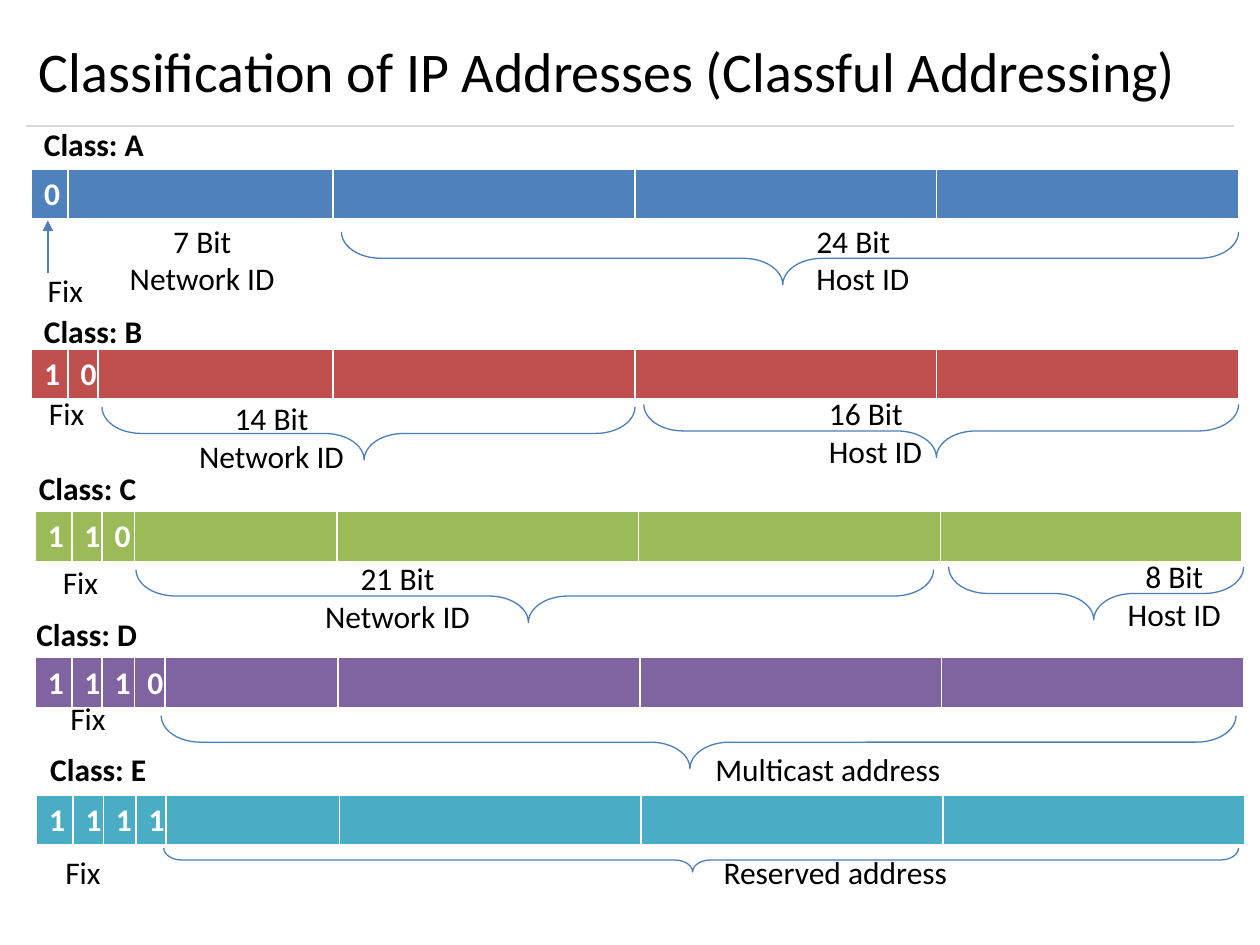
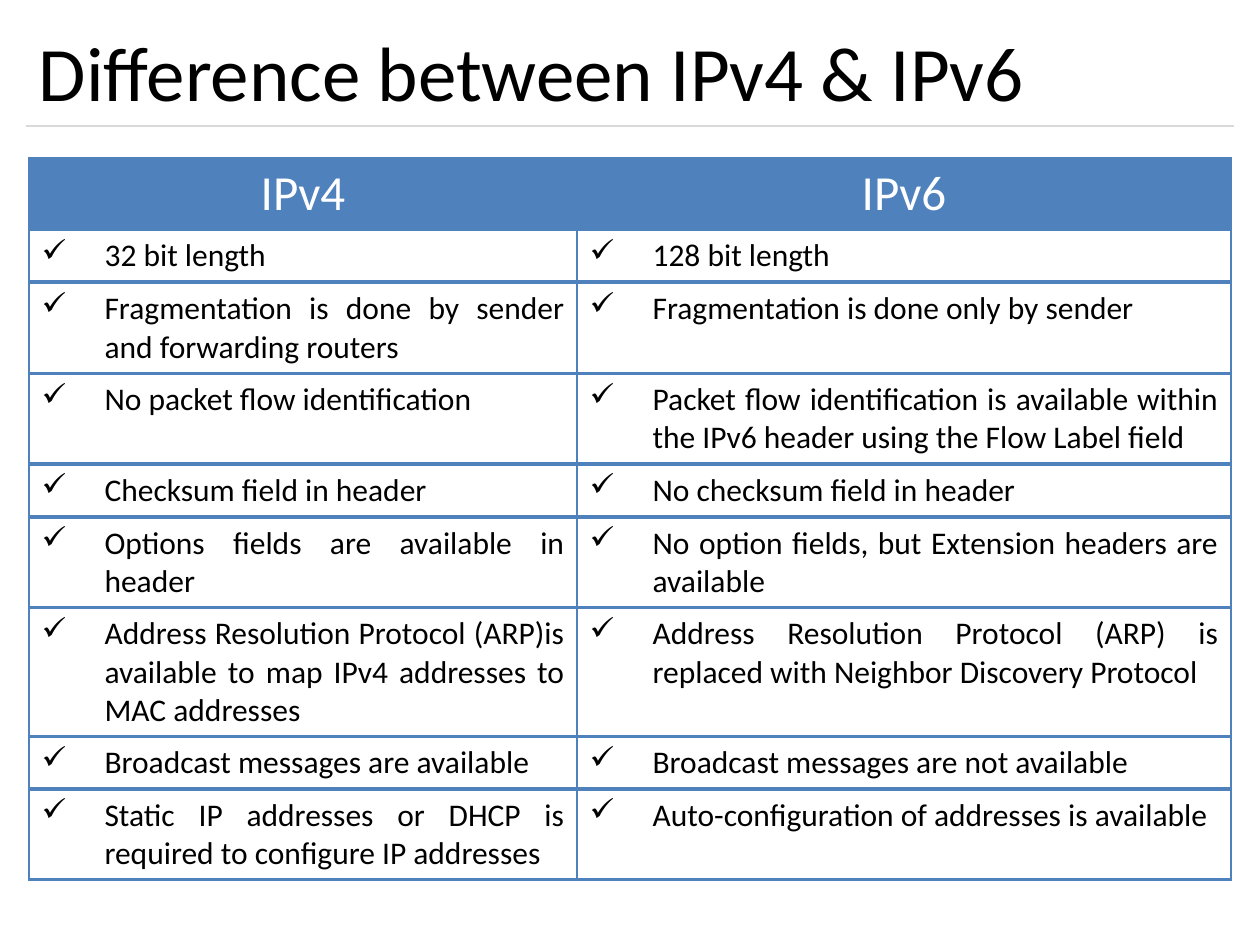
from collections import namedtuple

from lxml.etree import SubElement
from pptx import Presentation
from pptx.dml.color import RGBColor
from pptx.enum.shapes import MSO_CONNECTOR, MSO_SHAPE
from pptx.enum.text import MSO_ANCHOR, MSO_AUTO_SIZE, PP_ALIGN
from pptx.oxml.ns import qn
from pptx.util import Inches, Pt

FONT = "Calibri"
BLACK = RGBColor(0x00, 0x00, 0x00)
WHITE = RGBColor(0xFF, 0xFF, 0xFF)
RULE_GREY = RGBColor(0xD9, 0xD9, 0xD9)
LINE_BLUE = RGBColor(0x4B, 0x7E, 0xBC)
BLUE = RGBColor(0x4F, 0x81, 0xBD)
RED = RGBColor(0xC0, 0x50, 0x4D)
GREEN = RGBColor(0x9B, 0xBB, 0x59)
PURPLE = RGBColor(0x80, 0x64, 0xA2)
TEAL = RGBColor(0x4B, 0xAC, 0xC6)
LEFT, CENTER, JUSTIFY = PP_ALIGN.LEFT, PP_ALIGN.CENTER, PP_ALIGN.JUSTIFY

# Address bars: four equal octets, the first one cut into its fixed bits
BAR_WIDTH, BAR_HEIGHT = 9.58, 0.41
OCTET = BAR_WIDTH / 4
BIT_WIDTHS = [0.29, 0.24, 0.26, 0.23]

# Offsets of label, fix note, captions and braces are relative to the bar
AddressClass = namedtuple(
    "AddressClass", "name colour bar bits label fix captions braces")
Caption = namedtuple("Caption", "text left top width align", defaults=[CENTER])
Brace = namedtuple("Brace", "left top width height", defaults=[0.42])

CLASSES = [
    AddressClass("Class: A", BLUE, (0.25, 1.34), "0", (0, -0.4), (0.03, 0.76),
                 [Caption("7 Bit Network ID", 0.67, 0.37, 1.37),
                  Caption("24 Bit Host ID", 6.13, 0.37, 1.12, LEFT)],
                 [Brace(2.46, 0.5, 7.12)]),
    AddressClass("Class: B", RED, (0.25, 2.77), "10", (0, -0.34), (0.04, 0.31),
                 [Caption("14 Bit Network ID", 1.22, 0.35, 1.37),
                  Caption("16 Bit Host ID", 6.23, 0.31, 1.12, LEFT)],
                 [Brace(0.56, 0.46, 4.23), Brace(4.86, 0.44, 4.72)]),
    AddressClass("Class: C", GREEN, (0.28, 4.06), "110", (-0.07, -0.39), (0.12, 0.36),
                 [Caption("21 Bit Network ID", 2.19, 0.33, 1.37),
                  Caption("8 Bit Host ID", 8.48, 0.31, 1.12)],
                 [Brace(0.8, 0.46, 6.33), Brace(7.25, 0.44, 2.34)]),
    AddressClass("Class: D", PURPLE, (0.28, 5.22), "1110", (-0.09, -0.39), (0.18, 0.28),
                 [Caption("Multicast address", 5.1, 0.68, 2.38)],
                 [Brace(1, 0.46, 8.53)]),
    AddressClass("Class: E", TEAL, (0.29, 6.31), "1111", (0.01, -0.41), (0.13, 0.41),
                 [Caption("Reserved address", 5.15, 0.41, 2.38)],
                 [Brace(1.01, 0.42, 8.53, 0.19)]),
]

# Number of text lines, IPv4 text, IPv6 text
COMPARISON = [
    (1, "32 bit length", "128 bit length"),
    (2, "Fragmentation is done by sender and forwarding routers",
     "Fragmentation is done only by sender"),
    (2, "No packet flow identification",
     "Packet flow identification is available within the IPv6 header "
     "using the Flow Label field"),
    (1, "Checksum field in header", "No checksum field in header"),
    (2, "Options fields are available in header",
     "No option fields, but Extension headers are available"),
    (3, "Address Resolution Protocol (ARP)is available to map IPv4 addresses "
     "to MAC addresses",
     "Address Resolution Protocol (ARP) is replaced with Neighbor Discovery Protocol"),
    (1, "Broadcast messages are available", "Broadcast messages are not available"),
    (2, "Static IP addresses or DHCP is required to configure IP addresses",
     "Auto-configuration of addresses is available"),
]


def write(text_frame, text, size=18, colour=BLACK, bold=False, align=LEFT):
    text_frame.text = text
    paragraph = text_frame.paragraphs[0]
    paragraph.alignment = align
    for run in paragraph.runs:
        run.font.name = FONT
        run.font.size = Pt(size)
        run.font.bold = bold
        run.font.color.rgb = colour
    return paragraph


def add_text(slide, text, left, top, width, height, wrap=True, **style):
    box = slide.shapes.add_textbox(
        Inches(left), Inches(top), Inches(width), Inches(height))
    text_frame = box.text_frame
    text_frame.word_wrap = wrap
    text_frame.auto_size = MSO_AUTO_SIZE.SHAPE_TO_FIT_TEXT
    write(text_frame, text, **style)
    return box


def add_line(slide, start, end, colour, arrow=False):
    line = slide.shapes.add_connector(
        MSO_CONNECTOR.STRAIGHT, *(Inches(value) for value in (*start, *end)))
    line.line.color.rgb = colour
    line.line.width = Pt(0.75)
    if arrow:
        SubElement(line.line._get_or_add_ln(), qn("a:tailEnd"), type="triangle")
    SubElement(line._element.spPr, qn("a:effectLst"))


def add_brace(slide, left, top, width, height):
    """Draw a brace that opens upwards and fills the given box."""
    shape = slide.shapes.add_shape(
        MSO_SHAPE.LEFT_BRACE,
        Inches(left + (width - height) / 2), Inches(top + (height - width) / 2),
        Inches(height), Inches(width))
    shape.rotation = 270
    shape.adjustments[0] = 0.744
    shape.adjustments[1] = 0.492
    shape.shadow.inherit = False
    shape.fill.background()
    shape.line.color.rgb = LINE_BLUE
    shape.line.width = Pt(0.75)


def format_cell(cell, border, bottom_width, fill=None):
    properties = cell._tc.get_or_add_tcPr()
    for side, width in (("L", 1), ("R", 1), ("T", 1), ("B", bottom_width)):
        line = SubElement(properties, qn(f"a:ln{side}"), w=str(Pt(width)))
        solid = SubElement(line, qn("a:solidFill"))
        SubElement(solid, qn("a:srgbClr"), val=str(border))
    if fill is None:
        cell.fill.background()
    else:
        cell.fill.solid()
        cell.fill.fore_color.rgb = fill


def add_row_table(slide, left, top, widths, height, border, bottom_width, fill=None):
    """Add a table of one row and return its cells."""
    table = slide.shapes.add_table(
        1, len(widths), Inches(left), Inches(top),
        Inches(sum(widths)), Inches(height)).table
    table.first_row = table.horz_banding = False
    for column, width in zip(table.columns, widths):
        column.width = Inches(width)
    cells = list(table.rows[0].cells)
    for cell in cells:
        format_cell(cell, border, bottom_width, fill)
    return cells


def add_check_mark(paragraph):
    properties = paragraph._p.get_or_add_pPr()
    properties.set("marL", str(Inches(0.5)))
    properties.set("indent", str(Inches(-0.5)))
    SubElement(properties, qn("a:buChar"), char="✓")


def add_titled_slide(presentation, title, size):
    slide = presentation.slides.add_slide(presentation.slide_layouts[6])
    add_line(slide, (0.21, 1), (9.79, 1), RULE_GREY)
    box = add_text(slide, title, 0.21, 0.12, 9.58, 0.88, size=size)
    box.text_frame.auto_size = MSO_AUTO_SIZE.NONE
    box.text_frame.vertical_anchor = MSO_ANCHOR.MIDDLE
    return slide


def add_address_class(slide, address_class):
    left, top = address_class.bar

    # Bar with its fixed bits
    bit_widths = BIT_WIDTHS[:len(address_class.bits)]
    widths = bit_widths + [OCTET - sum(bit_widths)] + [OCTET] * 3
    cells = add_row_table(slide, left, top, widths, BAR_HEIGHT, WHITE, 3,
                          address_class.colour)
    for index, (cell, bit) in enumerate(zip(cells, address_class.bits)):
        write(cell.text_frame, bit, colour=WHITE, bold=True,
              align=CENTER if index else LEFT)

    # Class label and note on the fixed bits
    x, y = address_class.label
    add_text(slide, address_class.name, left + x, top + y, 1, 0.4,
             wrap=False, bold=True)
    x, y = address_class.fix
    add_text(slide, "Fix", left + x, top + y, 0.54, 0.42)

    # Captions and braces
    for caption in address_class.captions:
        height = 0.71 if "Bit" in caption.text else 0.4
        add_text(slide, caption.text, left + caption.left, top + caption.top,
                 caption.width, height, align=caption.align)
    for brace in address_class.braces:
        add_brace(slide, left + brace.left, top + brace.top, brace.width, brace.height)


def build_classes_slide(presentation):
    slide = add_titled_slide(
        presentation, "Classification of IP Addresses (Classful Addressing)", 32)
    for address_class in CLASSES:
        add_address_class(slide, address_class)

    # Arrow from the first note to its bit
    left, top = CLASSES[0].bar
    x = left + 0.13
    add_line(slide, (x, top + 0.83), (x, top + BAR_HEIGHT), LINE_BLUE, arrow=True)


def add_comparison(slide, left, top, widths):
    # Header
    header = add_row_table(slide, left, top, widths, 0.57, BLUE, 1, BLUE)
    for cell, name in zip(header, ("IPv4", "IPv6")):
        write(cell.text_frame, name, size=28, colour=WHITE, align=CENTER)

    # Rows, as high as their lines of text need
    top += 0.58
    for line_count, *texts in COMPARISON:
        height = 0.1 + 0.3 * line_count
        cells = add_row_table(slide, left, top, widths, height, BLUE, 2)
        for cell, text in zip(cells, texts):
            add_check_mark(write(cell.text_frame, text, align=JUSTIFY))
        top += height + 0.02


def build_comparison_slide(presentation):
    slide = add_titled_slide(presentation, "Difference between IPv4 & IPv6", 44)
    add_comparison(slide, 0.23, 1.25, [4.35, 5.19])


def main():
    presentation = Presentation()
    presentation.slide_width = Inches(10)
    presentation.slide_height = Inches(7.5)
    build_classes_slide(presentation)
    build_comparison_slide(presentation)
    presentation.save("out.pptx")


if __name__ == "__main__":
    main()
